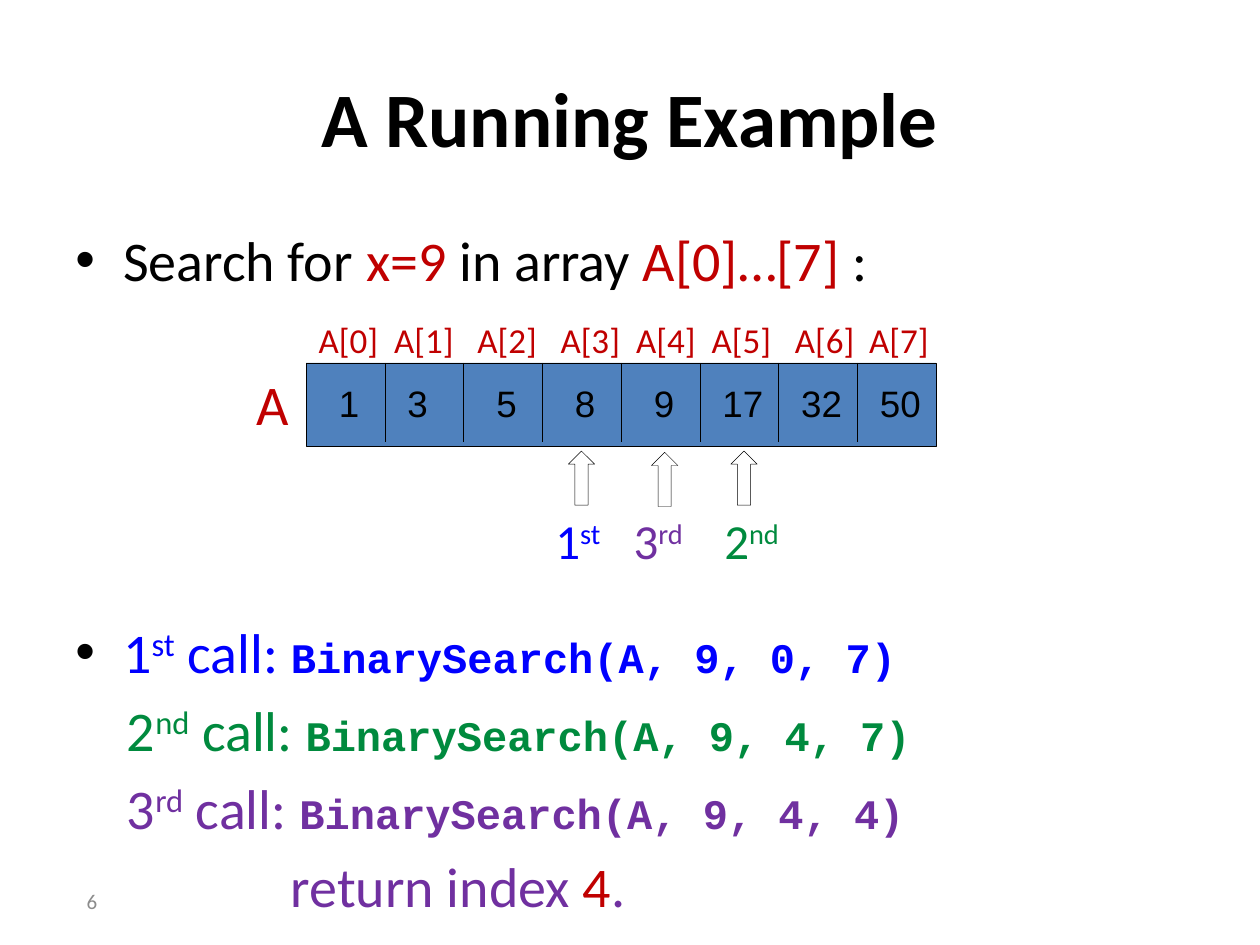
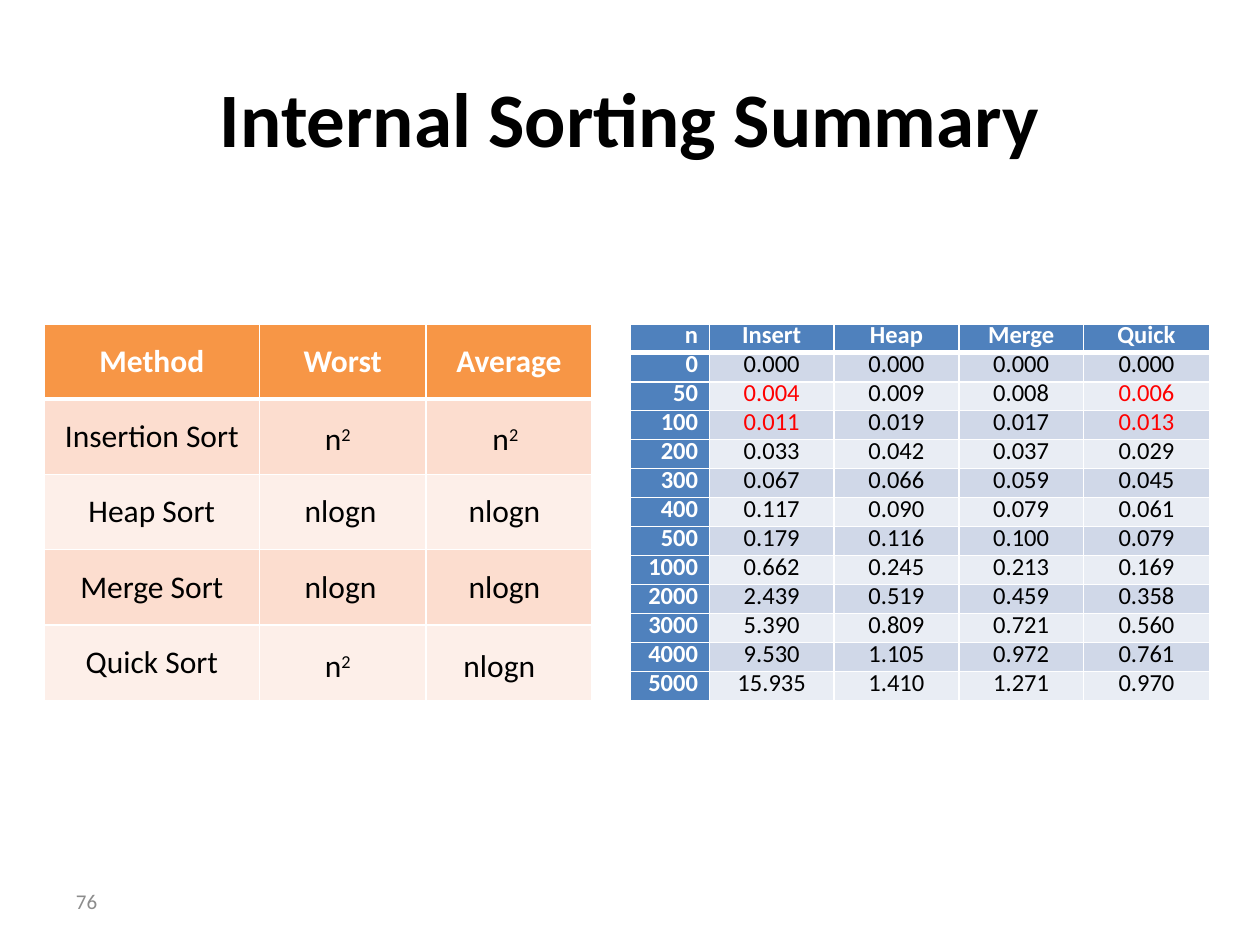
from lxml import etree
from pptx import Presentation
from pptx.dml.color import RGBColor
from pptx.enum.shapes import MSO_CONNECTOR, MSO_SHAPE
from pptx.enum.text import MSO_ANCHOR, PP_ALIGN
from pptx.oxml.ns import qn
from pptx.util import Inches, Pt

LEFT, CENTER, RIGHT = PP_ALIGN.LEFT, PP_ALIGN.CENTER, PP_ALIGN.RIGHT
TOP, MIDDLE = MSO_ANCHOR.TOP, MSO_ANCHOR.MIDDLE
RECTANGLE, UP_ARROW = MSO_SHAPE.RECTANGLE, MSO_SHAPE.UP_ARROW
STRAIGHT = MSO_CONNECTOR.STRAIGHT
TITLE_ONLY = 5

COLORS = {
    "black": "000000", "white": "FFFFFF", "red": "C00000", "bright red": "FF0000",
    "blue": "0000FF", "green": "008A3E", "purple": "7030A0", "gray": "8C8C8C",
    "array": "4F81BD", "blue dark": "D0D8E8", "blue light": "E9EDF4",
    "orange": "F79646", "orange dark": "FCDDCF", "orange light": "FDEFE9",
}

ARRAY_LEFT, ARRAY_TOP, ARRAY_WIDTH = 2.43, 2.88, 5
ARRAY_VALUES = [("1", 0.16), ("3", 0.08), ("5", 0.16), ("8", 0.16),
                ("9", 0.16), ("17", 0.08), ("32", 0.08), ("50", 0.08)]
CELL_WIDTH = ARRAY_WIDTH / len(ARRAY_VALUES)
INDEX_TABS = [0.6, 1.26, 1.92, 2.52, 3.12, 3.78, 4.37]

PROBES = [("1", "st", "blue", 4.31, 4.51, 3.58),
          ("3", "rd", "purple", 4.93, 5.17, 3.59),
          ("2", "nd", "green", 5.65, 5.8, 3.58)]
CALLS = [("1", "st", "blue", "BinarySearch(A, 9, 0, 7)"),
         ("2", "nd", "green", "BinarySearch(A, 9, 4, 7)"),
         ("3", "rd", "purple", "BinarySearch(A, 9, 4, 4)")]
CALL_GAP = Pt(6.2)

METHODS = [
    ["Method", "Worst", "Average"],
    ["Insertion Sort", "", ""],
    ["Heap Sort", "", ""],
    ["Merge Sort", "", ""],
    ["Quick Sort", "", ""],
]
SQUARE = ["n", ("2", {"raised": True})]
LOGARITHMIC = ["nlogn"]
COMPLEXITIES = [
    (SQUARE, SQUARE, 2.48, 3.28, 1.33),
    (LOGARITHMIC, LOGARITHMIC, 2.32, 3.85, 1.3),
    (LOGARITHMIC, LOGARITHMIC, 2.32, 4.45, 1.3),
    (SQUARE, LOGARITHMIC, 2.48, 5.08, 1.1),
]
TIMINGS = [
    ["n", "Insert", "Heap", "Merge", "Quick"],
    ["0", "0.000", "0.000", "0.000", "0.000"],
    ["50", "0.004", "0.009", "0.008", "0.006"],
    ["100", "0.011", "0.019", "0.017", "0.013"],
    ["200", "0.033", "0.042", "0.037", "0.029"],
    ["300", "0.067", "0.066", "0.059", "0.045"],
    ["400", "0.117", "0.090", "0.079", "0.061"],
    ["500", "0.179", "0.116", "0.100", "0.079"],
    ["1000", "0.662", "0.245", "0.213", "0.169"],
    ["2000", "2.439", "0.519", "0.459", "0.358"],
    ["3000", "5.390", "0.809", "0.721", "0.560"],
    ["4000", "9.530", "1.105", "0.972", "0.761"],
    ["5000", "15.935", "1.410", "1.271", "0.970"],
]
HIGHLIGHTS = {(2, 1), (2, 4), (3, 1), (3, 4)}


def rgb(name):
    return RGBColor.from_string(COLORS[name])


def write_text(paragraph, text, align=LEFT, **format):
    paragraph.alignment = align
    for part in [text] if isinstance(text, str) else text:
        words, changes = (part, {}) if isinstance(part, str) else part
        style = {"size": 18, "font": "Calibri", "color": "black", "bold": False,
                 "raised": False, **format, **changes}
        run = paragraph.add_run()
        run.text = words
        run.font.size = Pt(style["size"])
        run.font.name = style["font"]
        run.font.bold = style["bold"]
        run.font.color.rgb = rgb(style["color"])
        if style["raised"]:
            run._r.get_or_add_rPr().set("baseline", "30000")


def add_text(slide, text, left, top, width, height, anchor=TOP, wrap=True, **format):
    box = slide.shapes.add_textbox(Inches(left), Inches(top), Inches(width), Inches(height))
    frame = box.text_frame
    frame.word_wrap = wrap
    frame.vertical_anchor = anchor
    write_text(frame.paragraphs[0], text, **format)
    return frame


def indent(paragraph, margin, first=0, bullet=False):
    properties = paragraph._p.get_or_add_pPr()
    properties.set("marL", str(Inches(margin)))
    properties.set("indent", str(Inches(first)))
    if bullet:
        bullet_color = etree.SubElement(properties, qn("a:buClr"))
        etree.SubElement(bullet_color, qn("a:srgbClr"), val=COLORS["black"])
        etree.SubElement(properties, qn("a:buFont"), typeface="Arial")
        etree.SubElement(properties, qn("a:buChar"), char="•")


def set_tabs(paragraph, positions):
    tabs = etree.SubElement(paragraph._p.get_or_add_pPr(), qn("a:tabLst"))
    for position in positions:
        etree.SubElement(tabs, qn("a:tab"), pos=str(Inches(position)), algn="l")


def add_shape(slide, kind, left, top, width, height, fill=None):
    shape = slide.shapes.add_shape(kind, Inches(left), Inches(top), Inches(width), Inches(height))
    shape.shadow.inherit = False
    if fill:
        shape.fill.solid()
        shape.fill.fore_color.rgb = rgb(fill)
    else:
        shape.fill.background()
    shape.line.color.rgb = rgb("black")
    shape.line.width = Pt(0.25)


def add_divider(slide, x, top, bottom):
    line = slide.shapes.add_connector(STRAIGHT, Inches(x), Inches(top), Inches(x), Inches(bottom))
    line.line.color.rgb = rgb("black")
    line.line.width = Pt(0.25)
    etree.SubElement(line._element.spPr, qn("a:effectLst"))


def set_borders(cell, row):
    properties = cell._tc.get_or_add_tcPr()
    heavy = {"lnB": row == 0, "lnT": row == 1}
    for side in ("lnL", "lnR", "lnT", "lnB"):
        width = Pt(3 if heavy.get(side) else 1)
        border = etree.SubElement(properties, qn(f"a:{side}"), w=str(width))
        fill = etree.SubElement(border, qn("a:solidFill"))
        etree.SubElement(fill, qn("a:srgbClr"), val=COLORS["white"])


def add_table(slide, rows, left, top, widths, height, header, bands, size,
              compact=False, highlights=()):
    frame = slide.shapes.add_table(len(rows), len(widths), Inches(left), Inches(top),
                                   Inches(sum(widths)), Inches(height))
    table = frame.table
    table.first_col = compact
    for column, width in zip(table.columns, widths):
        column.width = Inches(width)
    for row, values in enumerate(rows):
        table.rows[row].height = Inches(height / len(rows))
        for column, value in enumerate(values):
            cell = table.cell(row, column)
            set_borders(cell, row)
            row_label = compact and column == 0
            is_header = row == 0 or row_label
            cell.fill.solid()
            cell.fill.fore_color.rgb = rgb(header if is_header else bands[(row - 1) % 2])
            cell.vertical_anchor = TOP if compact else MIDDLE
            paragraph = cell.text_frame.paragraphs[0]
            if compact:
                cell.margin_left = cell.margin_right = Inches(0.09)
                cell.margin_top = cell.margin_bottom = 0
                paragraph.line_spacing = Pt(15)
            color = "bright red" if (row, column) in highlights else "black"
            if value:
                write_text(paragraph, value, align=RIGHT if row_label else CENTER, size=size,
                           color="white" if is_header else color, bold=is_header)


def add_slide(presentation, title, number):
    slide = presentation.slides.add_slide(presentation.slide_layouts[TITLE_ONLY])
    shape = slide.shapes.title
    shape.left, shape.top = Inches(0.5), Inches(0.3)
    shape.width, shape.height = Inches(9), Inches(1.25)
    shape.text_frame.vertical_anchor = MIDDLE
    write_text(shape.text_frame.paragraphs[0], title, align=CENTER, size=44, bold=True)
    add_text(slide, number, 0.27, 6.95, 0.6, 0.4, anchor=MIDDLE, align=RIGHT,
             size=12, color="gray")
    return slide


def add_array(slide):
    add_shape(slide, RECTANGLE, ARRAY_LEFT, ARRAY_TOP, ARRAY_WIDTH, 0.66, fill="array")
    add_text(slide, "A", 1.94, ARRAY_TOP, 0.46, 0.64, wrap=False, size=32, color="red")
    for index, (value, inset) in enumerate(ARRAY_VALUES):
        left = ARRAY_LEFT + index * CELL_WIDTH
        add_text(slide, value, left + inset, 2.97, 0.39 if len(value) == 1 else 0.55, 0.45,
                 size=21, font="Arial")
        if index:
            add_divider(slide, left, ARRAY_TOP, 3.51)
    labels = "\t".join(f"A[{index}]" for index in range(len(ARRAY_VALUES)))
    frame = add_text(slide, labels, ARRAY_LEFT, 2.48, 5.09, 0.44, size=20, color="red")
    set_tabs(frame.paragraphs[0], INDEX_TABS)


def add_calls(slide):
    frame = None
    for number, suffix, color, call in CALLS:
        text = [number, (suffix, {"raised": True}), " call: ",
                (call, {"size": 24, "font": "Courier New", "bold": True})]
        if frame is None:
            frame = add_text(slide, text, 0.5, 4.85, 9, 2.5, size=32, color=color)
            indent(frame.paragraphs[0], 0.38, -0.38, bullet=True)
        else:
            paragraph = frame.add_paragraph()
            paragraph.space_before = CALL_GAP
            write_text(paragraph, text, size=32, color=color)
            indent(paragraph, 0.41)
    result = frame.add_paragraph()
    result.space_before = CALL_GAP
    write_text(result, ["return index ", ("4", {"color": "red"}), "."], size=32, color="purple")
    indent(result, 1.71)


def build_example(presentation):
    slide = add_slide(presentation, "A Running Example", "6")
    red = {"color": "red"}
    frame = add_text(slide, ["Search for ", ("x=9", red), " in array ", ("A[0]…[7]", red), " :"],
                     0.5, 1.74, 9, 0.65, size=32)
    indent(frame.paragraphs[0], 0.38, -0.38, bullet=True)
    add_array(slide)
    for number, suffix, color, label_left, arrow_left, arrow_top in PROBES:
        add_shape(slide, UP_ARROW, arrow_left, arrow_top, 0.21, 0.43)
        add_text(slide, [number, (suffix, {"raised": True})], label_left, 4, 0.7, 0.57,
                 size=28, color=color)
    add_calls(slide)


def build_summary(presentation):
    slide = add_slide(presentation, "Internal Sorting Summary", "76")
    add_table(slide, METHODS, 0.35, 2.57, [1.71, 1.32, 1.32], 2.99, "orange",
              ["orange dark", "orange light"], 18)
    add_table(slide, TIMINGS, 5, 2.57, [0.63, 0.99, 0.99, 0.99, 1], 2.99, "array",
              ["blue dark", "blue light"], 14, compact=True, highlights=HIGHLIGHTS)
    for worst, average, left, top, tab in COMPLEXITIES:
        frame = add_text(slide, worst + ["\t"] + average, left, top, 2.11, 0.4)
        set_tabs(frame.paragraphs[0], [tab])


def main():
    presentation = Presentation()
    presentation.slide_width, presentation.slide_height = Inches(10), Inches(7.5)
    build_example(presentation)
    build_summary(presentation)
    presentation.save("out.pptx")


if __name__ == "__main__":
    main()
